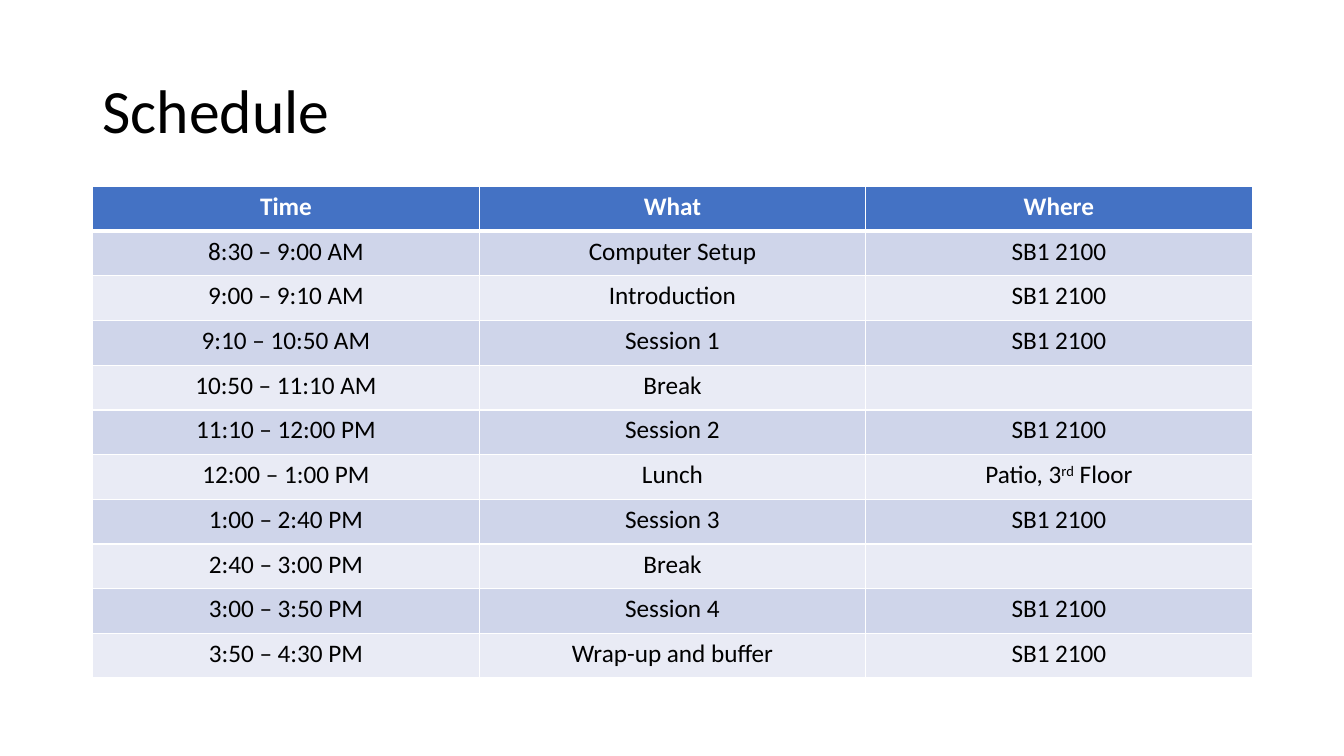
"""Build a workshop schedule slide with a title and a timetable."""
from dataclasses import dataclass

from lxml.etree import SubElement
from pptx import Presentation
from pptx.dml.color import RGBColor as Color
from pptx.enum.text import MSO_ANCHOR as Anchor, PP_ALIGN as Align
from pptx.oxml.ns import qn
from pptx.util import Inches, Pt


@dataclass(frozen=True)
class Theme:
    font: str = "Calibri"
    title_size: int = 44
    cell_size: int = 18
    ink: str = "000000"
    paper: str = "FFFFFF"
    header: str = "4472C4"
    bands: tuple = ("CFD5EA", "E9EBF5")


theme = Theme()
ROOM = "SB1 2100"
SCHEDULE = [
    ("Time", "What", "Where"),
    ("8:30 – 9:00 AM", "Computer Setup", ROOM),
    ("9:00 – 9:10 AM", "Introduction", ROOM),
    ("9:10 – 10:50 AM", "Session 1", ROOM),
    ("10:50 – 11:10 AM", "Break", ""),
    ("11:10 – 12:00 PM", "Session 2", ROOM),
    ("12:00 – 1:00 PM", "Lunch", "Patio, 3^rd^ Floor"),
    ("1:00 – 2:40 PM", "Session 3", ROOM),
    ("2:40 – 3:00 PM", "Break", ""),
    ("3:00 – 3:50 PM", "Session 4", ROOM),
    ("3:50 – 4:30 PM", "Wrap-up and buffer", ROOM),
]


def add_text(para, text, size, color, bold=False):
    """Add runs to a paragraph, raising the parts between carets."""
    for index, part in enumerate(text.split("^")):
        span = para.add_run()
        span.text = part
        span.font.name = theme.font
        span.font.size = Pt(size)
        span.font.bold = bold
        span.font.color.rgb = Color.from_string(color)
        if index % 2:
            span.font._element.set("baseline", "30000")


def add_border(cell, side, width):
    """Draw one solid edge of a cell."""
    line = SubElement(cell._tc.get_or_add_tcPr(), qn(f"a:ln{side}"), w=str(Pt(width)))
    SubElement(SubElement(line, qn("a:solidFill")), qn("a:srgbClr"), val=theme.paper)


deck = Presentation()
deck.slide_width, deck.slide_height = Inches(13.33), Inches(7.5)
page = deck.slides.add_slide(deck.slide_layouts[6])
page.background.fill.solid()
page.background.fill.fore_color.rgb = Color.from_string(theme.paper)

title = page.shapes.add_textbox(Inches(0.92), Inches(0.4), Inches(11.5), Inches(1.45))
title.text_frame.word_wrap = True
title.text_frame.vertical_anchor = Anchor.MIDDLE
heading = title.text_frame.paragraphs[0]
heading.line_spacing = 0.9
add_text(heading, "Schedule", theme.title_size, theme.ink)

timetable = page.shapes.add_table(
    len(SCHEDULE), len(SCHEDULE[0]), Inches(0.92), Inches(1.85), Inches(11.5), Inches(4.88)
).table

for row, entries in enumerate(SCHEDULE):
    is_header = row == 0
    fill = theme.header if is_header else theme.bands[(row - 1) % 2]
    color = theme.paper if is_header else theme.ink
    widths = {"L": 1, "R": 1, "T": 3 if row == 1 else 1, "B": 3 if is_header else 1}
    for column, text in enumerate(entries):
        cell = timetable.cell(row, column)
        for side, width in widths.items():
            add_border(cell, side, width)
        cell.fill.solid()
        cell.fill.fore_color.rgb = Color.from_string(fill)
        para = cell.text_frame.paragraphs[0]
        para.alignment = Align.CENTER
        if text:
            add_text(para, text, theme.cell_size, color, is_header)

deck.save("out.pptx")
